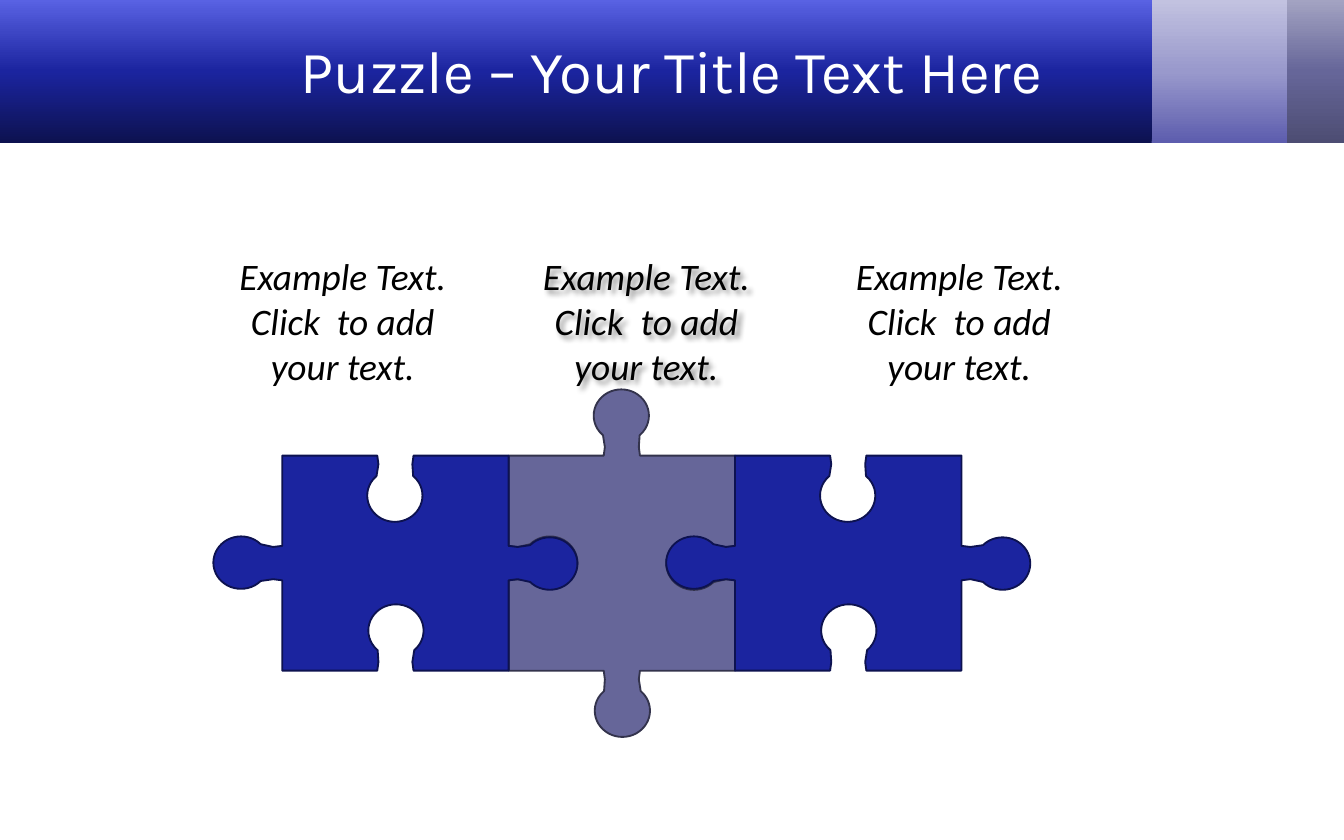
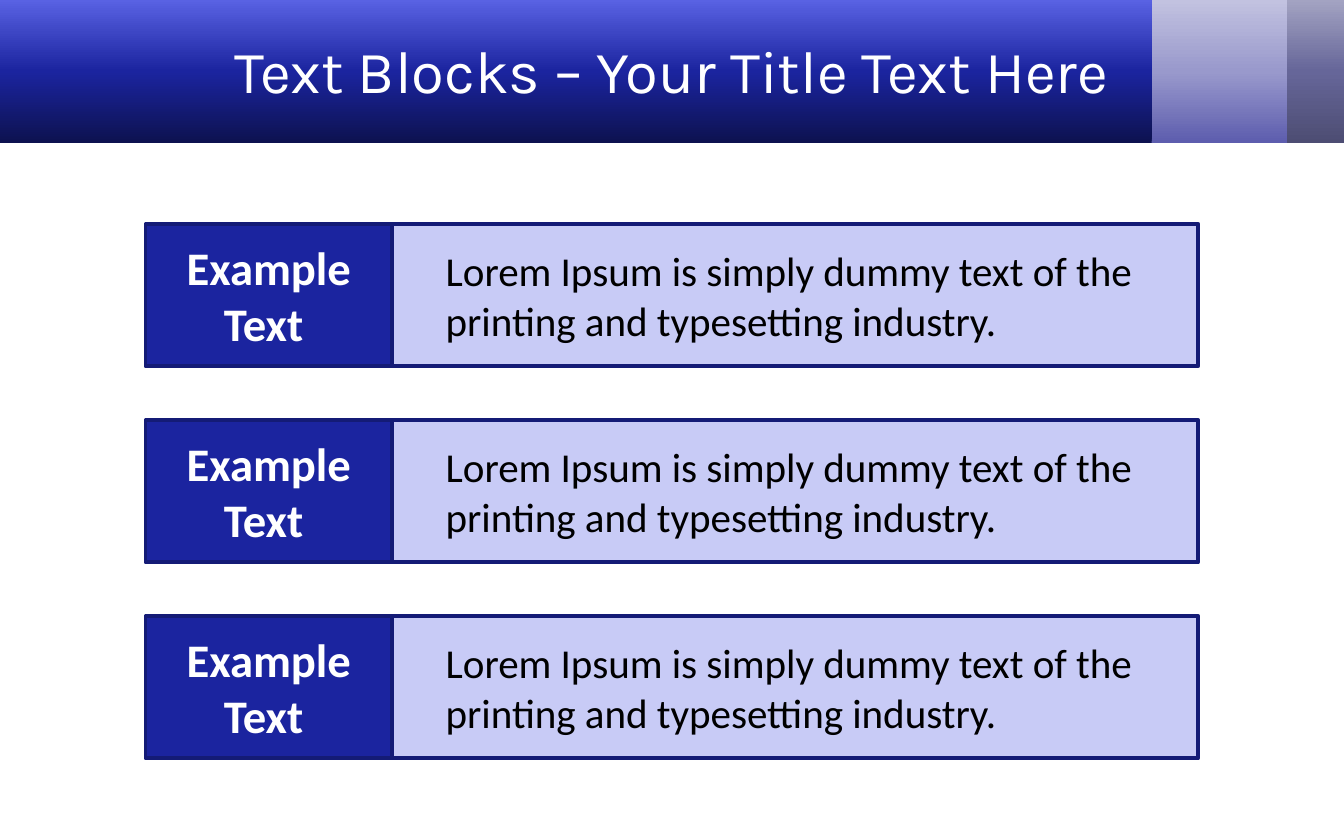
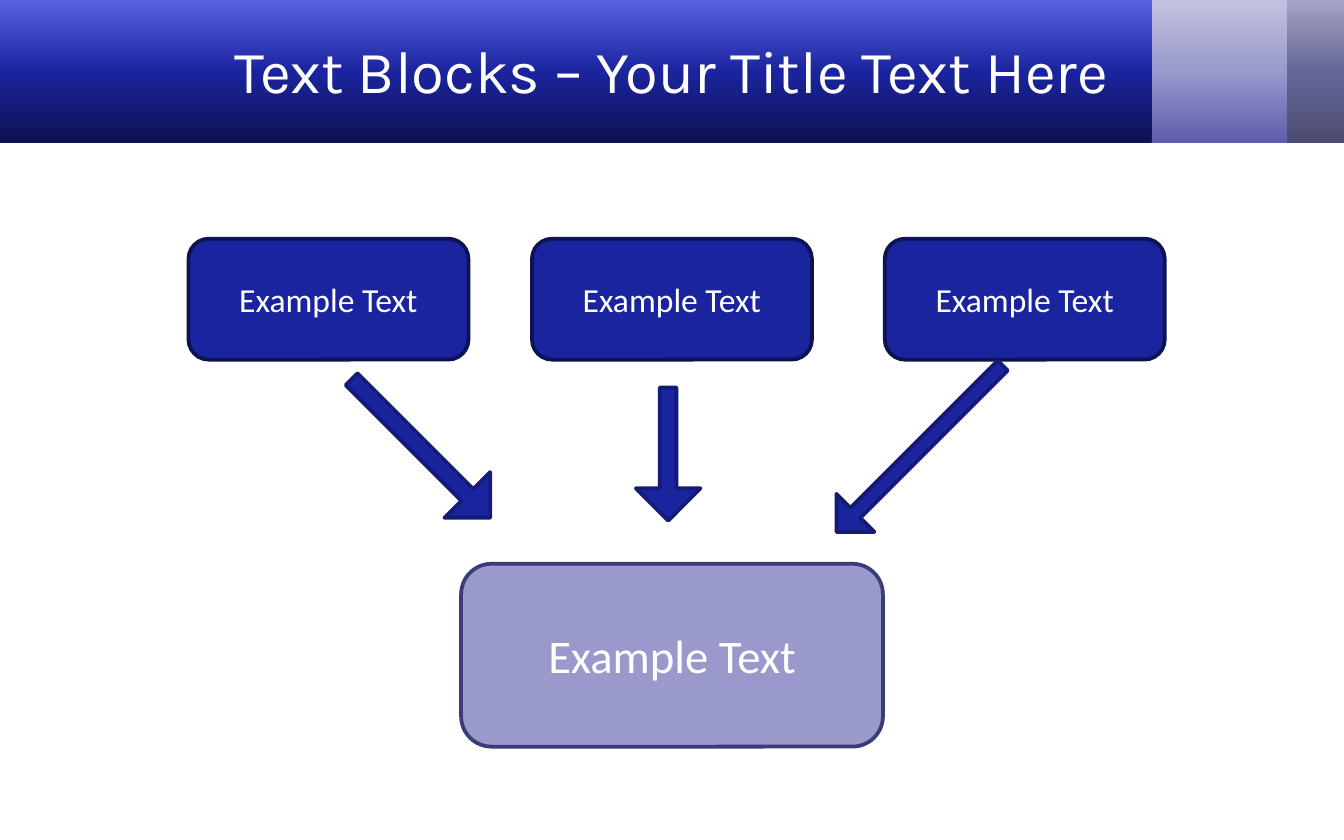
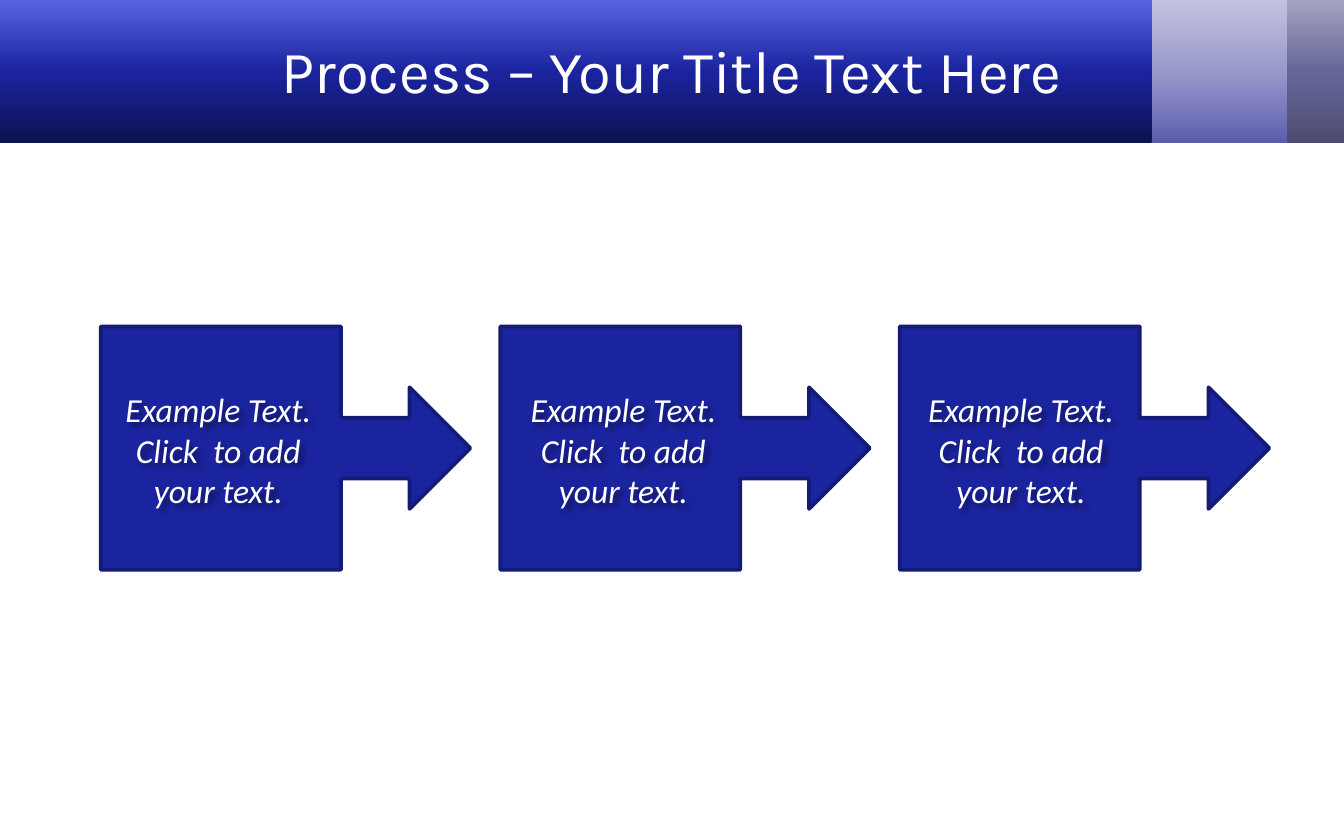
import copy
import math

import pptx
import pptx.dml.color
import pptx.enum.shapes
import pptx.enum.text
import pptx.oxml
import pptx.oxml.ns
import pptx.util

Pt = pptx.util.Pt
RGBColor = pptx.dml.color.RGBColor
SHAPE = pptx.enum.shapes.MSO_SHAPE
ALIGN = pptx.enum.text.PP_ALIGN
ANCHOR = pptx.enum.text.MSO_ANCHOR

WHITE = RGBColor(0xFF, 0xFF, 0xFF)
BLACK = RGBColor(0x00, 0x00, 0x00)
BLUE = RGBColor(0x1B, 0x24, 0x9F)
BLUE_EDGE = RGBColor(0x14, 0x1B, 0x76)
NAVY = RGBColor(0x0D, 0x12, 0x50)
BRIGHT_BLUE = RGBColor(0x59, 0x62, 0xE3)
PALE_BLUE = RGBColor(0xC8, 0xCB, 0xF6)
LILAC = RGBColor(0x99, 0x99, 0xCC)
LILAC_EDGE = RGBColor(0x3B, 0x3B, 0x77)
LILAC_DARK = RGBColor(0x5D, 0x5D, 0xAE)
LILAC_LIGHT = RGBColor(0xC2, 0xC2, 0xE0)
SLATE = RGBColor(0x66, 0x66, 0x99)
SLATE_EDGE = RGBColor(0x33, 0x33, 0x4C)
SLATE_DARK = RGBColor(0x4D, 0x4D, 0x73)
SLATE_LIGHT = RGBColor(0xA3, 0xA3, 0xC2)

BODY_FONT = "Calibri"
TITLE_FONT = "Karla"
# left, width, gradient colours from bottom to top
BANDS = [
    (678.7, 41.6, (SLATE_DARK, SLATE, SLATE_LIGHT)),
    (614.2, 75.3, (LILAC_DARK, LILAC, LILAC_LIGHT)),
    (0, 617, (NAVY, BLUE, BRIGHT_BLUE)),
]
BAND_HEIGHT = 76.5
TITLES = [
    "Puzzle – Your Title Text Here",
    "Text Blocks – Your Title Text Here",
    "Text Blocks – Your Title Text Here",
    "Process – Your Title Text Here",
]
CAPTION = ["Example Text.", "Click  to add your text."]
NAMESPACE = pptx.oxml.ns.nsdecls("a")
SHADOW = (
    f"<a:effectLst {NAMESPACE}>"
    '<a:outerShdw blurRad="38100" dist="38100" dir="2700000" algn="tl">'
    '<a:srgbClr val="000000"><a:alpha val="43000"/></a:srgbClr>'
    "</a:outerShdw></a:effectLst>"
)


def paint(shape, fill, edge, width=2):
    """Give a shape a flat fill and outline, without a shadow."""
    shape.shadow.inherit = False
    shape.fill.solid()
    shape.fill.fore_color.rgb = fill
    shape.line.color.rgb = edge
    shape.line.width = Pt(width)


def write(shape, lines, size, color, align=ALIGN.CENTER, anchor=ANCHOR.MIDDLE,
          font=BODY_FONT, bold=False, italic=False):
    """Fill a shape with one paragraph per line."""
    frame = shape.text_frame
    frame.word_wrap = True
    frame.vertical_anchor = anchor
    for number, line in enumerate(lines):
        para = frame.add_paragraph() if number else frame.paragraphs[0]
        para.alignment = align
        span = para.add_run()
        span.text = line
        span.font.name = font
        span.font.size = Pt(size)
        span.font.bold = bold
        span.font.italic = italic
        span.font.color.rgb = color


deck = pptx.Presentation()
deck.slide_width, deck.slide_height = Pt(720), Pt(450)

# Shared bands and titles
pages = []
for title in TITLES:
    page = deck.slides.add_slide(deck.slide_layouts[6])
    pages.append(page)
    for left, width, colors in BANDS:
        band = page.shapes.add_shape(SHAPE.RECTANGLE, Pt(left), 0, Pt(width), Pt(BAND_HEIGHT))
        band.shadow.inherit = False
        band.line.fill.background()
        band.fill.gradient()
        band.fill.gradient_angle = 90
        first_stop = band.element.spPr.xpath(".//a:gs")[0]
        first_stop.addnext(copy.deepcopy(first_stop))
        for stop, color, position in zip(band.fill.gradient_stops, colors, (0, 0.5, 1)):
            stop.color.rgb = color
            stop.position = position
    box = page.shapes.add_textbox(Pt(36), Pt(5.8), Pt(648), Pt(63.4))
    write(box, [title], 32, WHITE, font=TITLE_FONT)

puzzle, blocks, funnel, process = pages

# Puzzle: one edge profile (along, outward) in units of the piece's side
KNOB_RADIUS, KNOB_CENTRE = 0.122, 0.184
JOINT_ANGLE = 43
joint = (
    -KNOB_RADIUS * math.sin(math.radians(JOINT_ANGLE)),
    KNOB_CENTRE - KNOB_RADIUS * math.cos(math.radians(JOINT_ANGLE)),
)
half_profile = [(-0.08, 0), (-0.075, 0.04), joint]
tip = (0, KNOB_CENTRE + KNOB_RADIUS)
profile = [(-0.5, 0)] + half_profile + [tip]
profile += [(-along, out) for along, out in reversed(half_profile)]
TIP = profile.index(tip)
PIECE_LEFT, PIECE_TOP, PIECE_WIDTH, PIECE_HEIGHT = 151.2, 244.1, 121.3, 115.2

# column, +1 for knobs above and below or -1 for knobs at the sides, colours
group = puzzle.shapes.add_group_shape()
for column, upright, fill, edge in [
    (1, 1, SLATE, SLATE_EDGE), (2, -1, BLUE, NAVY), (0, -1, BLUE, NAVY),
]:
    outline = []
    arcs = {}
    for side, (out_x, out_y) in enumerate([(0, -1), (1, 0), (0, 1), (-1, 0)]):
        sign = upright if out_y else -upright
        sweep = sign * (180 - JOINT_ANGLE)
        start = 90 * side + sign * (90 + JOINT_ANGLE) if sign > 0 else 90 * side - 90 - JOINT_ANGLE
        arcs[len(outline) + TIP] = start, sweep
        arcs[len(outline) + TIP + 1] = start + sweep, sweep
        for along, out in profile:
            reach = 0.5 + sign * out
            x = column + 0.5 + reach * out_x - along * out_y
            y = 0.5 + reach * out_y + along * out_x
            outline.append((Pt(PIECE_LEFT + x * PIECE_WIDTH), Pt(PIECE_TOP + y * PIECE_HEIGHT)))
    builder = group.shapes.build_freeform(*outline[0])
    builder.add_line_segments(outline[1:], close=True)
    piece = builder.convert_to_shape()
    paint(piece, fill, edge, 1)
    # Round the knobs: the lines to and from each tip become arcs
    lines = piece.element.spPr.xpath(".//a:lnTo")
    for point, (start, sweep) in arcs.items():
        line = lines[point - 1]
        line.getparent().replace(line, pptx.oxml.parse_xml(
            f'<a:arcTo {NAMESPACE} wR="{Pt(KNOB_RADIUS * PIECE_WIDTH)}" '
            f'hR="{Pt(KNOB_RADIUS * PIECE_HEIGHT)}" '
            f'stAng="{start % 360 * 60000}" swAng="{sweep * 60000}"/>'))

for left, shaded in [(271.4, True), (108.7, False), (439, False)]:
    box = puzzle.shapes.add_textbox(Pt(left), Pt(132), Pt(149.8), Pt(79.9))
    write(box, CAPTION, 20, BLACK, anchor=ANCHOR.TOP, italic=True)
    box.text_frame.auto_size = pptx.enum.text.MSO_AUTO_SIZE.SHAPE_TO_FIT_TEXT
    if shaded:
        box.element.spPr.append(pptx.oxml.parse_xml(SHADOW))

# Text blocks: a label and a description in each row
for row in range(3):
    top = Pt(120 + row * 105)
    description = blocks.shapes.add_shape(SHAPE.RECTANGLE, Pt(210), top, Pt(432), Pt(76.3))
    paint(description, PALE_BLUE, BLUE_EDGE)
    write(description, ["Lorem Ipsum is simply dummy text of the printing and typesetting industry."],
          22, BLACK, align=ALIGN.LEFT)
    frame = description.text_frame
    frame.margin_left = frame.margin_right = Pt(28.8)
    frame.margin_top = frame.margin_bottom = Pt(7.2)
    label = blocks.shapes.add_shape(SHAPE.RECTANGLE, Pt(78), top, Pt(132), Pt(76.3))
    paint(label, BLUE, BLUE_EDGE)
    write(label, ["Example Text "], 25, WHITE, bold=True)

# Three blocks leading to one
for left, top, width, height, size, fill, edge in [
    (101, 127.9, 150, 64.8, 18, BLUE, NAVY),
    (285, 127.9, 150, 64.8, 18, BLUE, NAVY),
    (474, 127.9, 150, 64.8, 18, BLUE, NAVY),
    (247, 302, 226, 98, 25, LILAC, LILAC_EDGE),
]:
    block = funnel.shapes.add_shape(SHAPE.ROUNDED_RECTANGLE, Pt(left), Pt(top), Pt(width), Pt(height))
    paint(block, fill, edge)
    write(block, ["Example Text"], size, WHITE)

for left, top, length, thickness, angle in [
    (173, 223, 105, 34.6, 45),
    (429.6, 226, 126, 28.8, 135),
    (322.3, 226, 71.3, 34.6, 90),
]:
    arrow = funnel.shapes.add_shape(SHAPE.RIGHT_ARROW, Pt(left), Pt(top), Pt(length), Pt(thickness))
    arrow.adjustments[0] = 0.26
    arrow.rotation = angle
    paint(arrow, BLUE, BLUE_EDGE)

# Process steps
for step in range(3):
    callout = process.shapes.add_shape(
        SHAPE.RIGHT_ARROW_CALLOUT, Pt(54 + step * 214), Pt(174.9), Pt(198), Pt(130.3))
    paint(callout, BLUE, BLUE_EDGE)

for left in (54, 271, 484):
    box = process.shapes.add_textbox(Pt(left), Pt(205), Pt(126), Pt(72.7))
    write(box, CAPTION, 18, WHITE, anchor=ANCHOR.TOP, italic=True)
    box.text_frame.auto_size = pptx.enum.text.MSO_AUTO_SIZE.SHAPE_TO_FIT_TEXT
    box.element.spPr.append(pptx.oxml.parse_xml(SHADOW))

deck.save("out.pptx")
